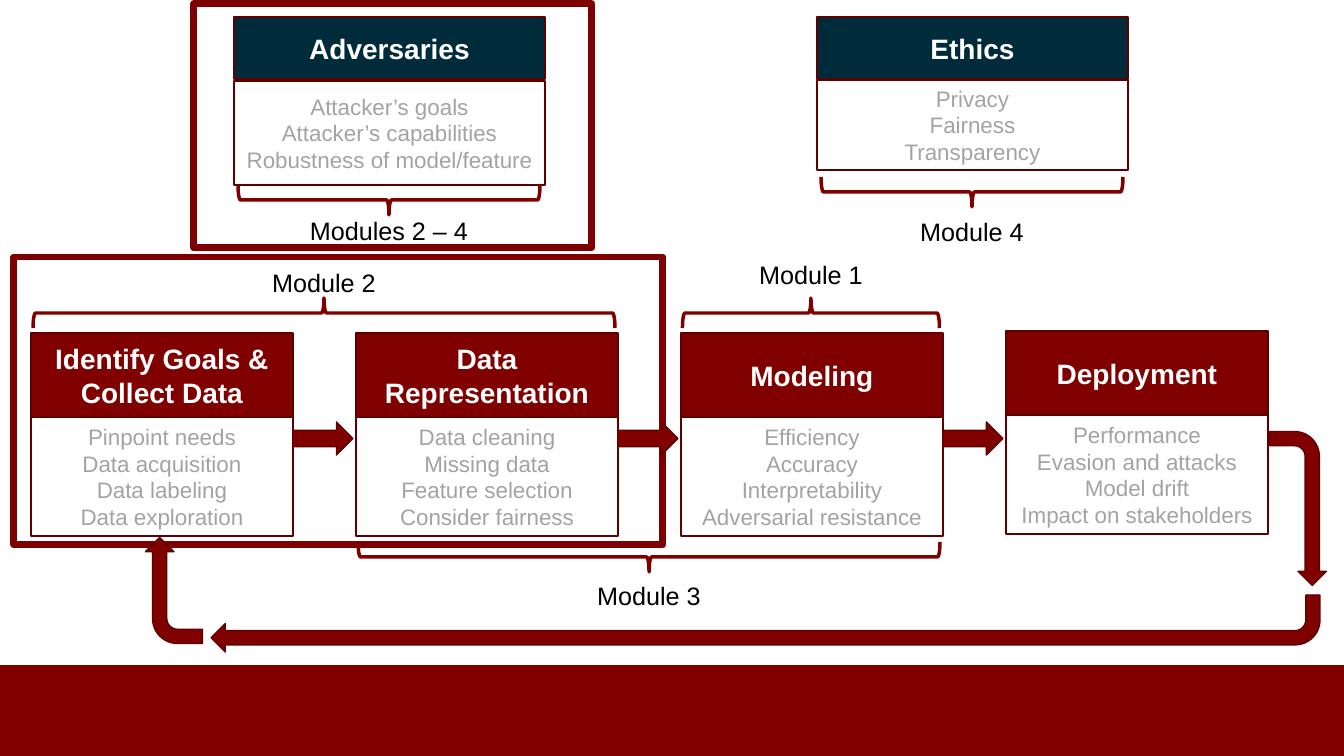
import pptx
import pptx.util
import pptx.dml.color
import pptx.enum.shapes
import pptx.enum.text

SCALE = 914400 / 100.8  # EMU in one px
SHAPES = pptx.enum.shapes.MSO_SHAPE
ALIGN = pptx.enum.text.PP_ALIGN
ANCHOR = pptx.enum.text.MSO_ANCHOR

MAROON = pptx.dml.color.RGBColor(0x80, 0x00, 0x00)
FRAME_RED = pptx.dml.color.RGBColor(0x7F, 0x00, 0x00)
EDGE_RED = pptx.dml.color.RGBColor(0x5F, 0x00, 0x00)
NAVY = pptx.dml.color.RGBColor(0x00, 0x2B, 0x3B)
GREY = pptx.dml.color.RGBColor(0xA1, 0xA4, 0xA1)
WHITE = pptx.dml.color.RGBColor(0xFF, 0xFF, 0xFF)
BLACK = pptx.dml.color.RGBColor(0x00, 0x00, 0x00)

# Process stages: title, points, top
STAGES = [
    ("Identify Goals & Collect Data",
     ["Pinpoint needs", "Data acquisition", "Data labeling", "Data exploration"], 333),
    ("Data Representation",
     ["Data cleaning", "Missing data", "Feature selection", "Consider fairness"], 333),
    ("Modeling",
     ["Efficiency", "Accuracy", "Interpretability", "Adversarial resistance"], 333),
    ("Deployment",
     ["Performance", "Evasion and attacks", "Model drift", "Impact on stakeholders"], 331),
]
STAGE_LEFT, STAGE_PITCH, STAGE_WIDTH = 31, 325, 262

# Module braces: label, centre x, brace centre y, length, rotation, label top, label width
MODULES = [
    ("Module 4", 972, 192, 302, 90, 211, 125),
    ("Modules 2 – 4", 389, 200, 302, 90, 210, 180),
    ("Module 3", 649, 557, 582, 90, 575, 125),
    ("Module 1", 811, 313, 257, 270, 254, 125),
    ("Module 2", 324, 313, 582, 270, 262, 125),
]

# Return path: left, top, width, height, rotation
RETURN_ARROWS = [
    (1221, 480, 154, 57, 90),
    (211, 595, 1109, 57, 180),
    (121, 562, 106, 57, 270),
]


def px(length):
    return pptx.util.Emu(round(length * SCALE))


def write_text(box, text, size=16, color=BLACK, bold=False, wrap=True, anchor=ANCHOR.MIDDLE):
    frame = box.text_frame
    frame.word_wrap = wrap
    frame.vertical_anchor = anchor
    frame.text = text
    for para in frame.paragraphs:
        para.alignment = ALIGN.CENTER
        for span in para.runs:
            span.font.name = "Arial"
            span.font.size = pptx.util.Pt(size)
            span.font.bold = bold
            span.font.color.rgb = color


def add_block(page, kind, left, top, width, height, fill=None, line=None, weight=1, rotation=0):
    box = page.shapes.add_shape(kind, px(left), px(top), px(width), px(height))
    box.shadow.inherit = False
    box.rotation = rotation
    if fill is None:
        box.fill.background()
    else:
        box.fill.solid()
        box.fill.fore_color.rgb = fill
    if line is None:
        box.line.fill.background()
    else:
        box.line.color.rgb = line
        box.line.width = pptx.util.Pt(weight)
    return box


def add_card(page, title, points, left, top, width, header_height, body_top, body_height, fill):
    header = add_block(page, SHAPES.RECTANGLE, left, top, width, header_height, fill, EDGE_RED)
    write_text(header, title, size=20, color=WHITE, bold=True)
    body = add_block(page, SHAPES.RECTANGLE, left, body_top, width, body_height, WHITE, EDGE_RED)
    write_text(body, "\n".join(points), color=GREY)


def add_module(page, label, center, middle, length, rotation, label_top, label_width):
    add_block(page, SHAPES.RIGHT_BRACE, center - 15, middle - length / 2, 30, length,
              line=MAROON, weight=2.5, rotation=rotation)
    box = page.shapes.add_textbox(px(center - label_width / 2), px(label_top),
                                  px(label_width), px(40))
    write_text(box, label, size=18, wrap=False, anchor=ANCHOR.TOP)


def main():
    deck = pptx.Presentation()
    deck.slide_width, deck.slide_height = px(1344), px(756)
    page = deck.slides.add_slide(deck.slide_layouts[6])

    # Footer band and highlight frames
    add_block(page, SHAPES.RECTANGLE, 0, 665, 1344, 91, MAROON)
    for frame in [(194, 4, 398, 244), (14, 257, 649, 288)]:
        add_block(page, SHAPES.RECTANGLE, *frame, WHITE, FRAME_RED, 5)

    # Cross-cutting concerns
    add_card(page, "Adversaries",
             ["Attacker’s goals", "Attacker’s capabilities", "Robustness of model/feature"],
             234, 17, 311, 62, 81, 104, NAVY)
    add_card(page, "Ethics", ["Privacy", "Fairness", "Transparency"],
             817, 17, 311, 62, 80, 90, NAVY)

    # Process stages joined by arrows
    for index, (title, points, top) in enumerate(STAGES):
        left = STAGE_LEFT + index * STAGE_PITCH
        add_card(page, title, points, left, top, STAGE_WIDTH, 84, top + 84, 119, MAROON)
        if index < len(STAGES) - 1:
            add_block(page, SHAPES.RIGHT_ARROW, left + STAGE_WIDTH, 422, 60, 33,
                      MAROON, EDGE_RED)

    # Module braces and labels
    for module in MODULES:
        add_module(page, *module)

    # Return path from deployment to goals
    for left, top, width, height, rotation in RETURN_ARROWS:
        add_block(page, SHAPES.BENT_ARROW, left, top, width, height,
                  MAROON, EDGE_RED, rotation=rotation)

    deck.save("out.pptx")


if __name__ == "__main__":
    main()
